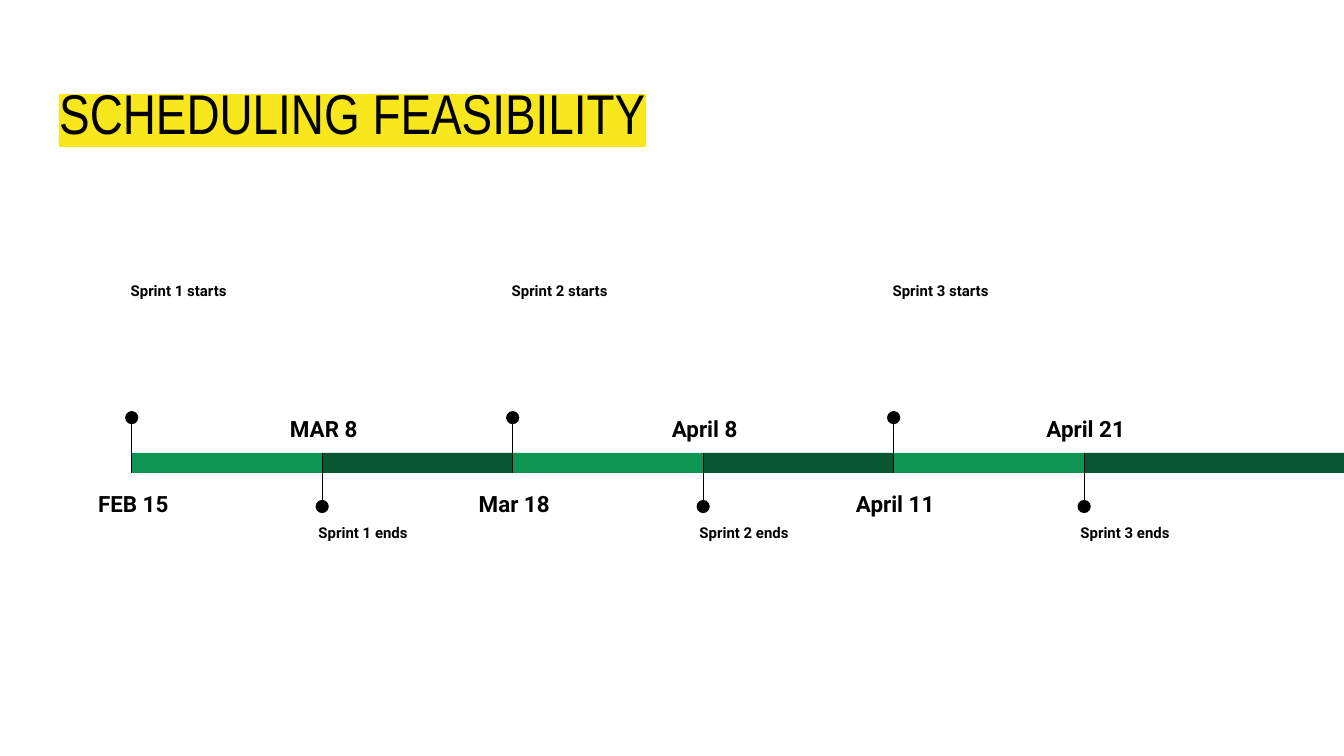
from lxml import etree
from pptx import Presentation
from pptx.dml.color import RGBColor
from pptx.enum.shapes import MSO_CONNECTOR, MSO_SHAPE
from pptx.enum.text import MSO_ANCHOR, PP_ALIGN
from pptx.oxml.ns import qn
from pptx.util import Cm, Pt

RECTANGLE = MSO_SHAPE.RECTANGLE
OVAL = MSO_SHAPE.OVAL
STRAIGHT = MSO_CONNECTOR.STRAIGHT
TOP = MSO_ANCHOR.TOP
LEFT = PP_ALIGN.LEFT
CENTER = PP_ALIGN.CENTER

BLACK = RGBColor(0x00, 0x00, 0x00)
LIGHT_GREEN = RGBColor(0x0E, 0x94, 0x53)
DARK_GREEN = RGBColor(0x08, 0x56, 0x31)
YELLOW = RGBColor(0xF8, 0xE7, 0x1C)

SLIDE_WIDTH = 25.4
SLIDE_HEIGHT = 14.29
TIMELINE_LEFT = 2.49
STEP = 3.6
BAR_TOP = 8.56
BAR_HEIGHT = 0.38
DOT_SIZE = 0.25
DATE_WIDTH = 2.08

MILESTONES = [
    ("FEB 15", "Sprint 1 starts"),
    ("MAR 8", "Sprint 1 ends"),
    ("Mar 18", "Sprint 2 starts"),
    ("April 8", "Sprint 2 ends"),
    ("April 11", "Sprint 3 starts"),
    ("April 21", "Sprint 3 ends"),
]


class TimelineSlide:
    font = "Roboto"
    title_font = "Arial Narrow"
    ink = BLACK

    def __init__(self, slide):
        self.shapes = slide.shapes

    def shape(self, kind, left, top, width, height, color):
        shape = self.shapes.add_shape(kind, Cm(left), Cm(top), Cm(width), Cm(height))
        shape.shadow.inherit = False
        shape.fill.solid()
        shape.fill.fore_color.rgb = color
        shape.line.fill.background()

    def stem(self, x, start, end):
        stem = self.shapes.add_connector(STRAIGHT, Cm(x), Cm(start), Cm(x), Cm(end))
        stem.line.color.rgb = self.ink
        stem.line.width = Pt(0.75)
        etree.SubElement(stem._element.spPr, qn("a:effectLst"))

    def text(self, words, left, top, width, height, size, font=None, bold=True, align=LEFT):
        frame = self.shapes.add_textbox(Cm(left), Cm(top), Cm(width), Cm(height)).text_frame
        frame.word_wrap = True
        frame.vertical_anchor = TOP
        frame.margin_left = frame.margin_right = Cm(0.25)
        frame.margin_top = frame.margin_bottom = Cm(0.25)
        paragraph = frame.paragraphs[0]
        paragraph.alignment = align
        run = paragraph.add_run()
        run.text = words
        run.font.size = Pt(size)
        run.font.name = font or self.font
        run.font.bold = bold
        run.font.color.rgb = self.ink
        return paragraph

    def title(self, words):
        paragraph = self.text(words, 0.87, 1.24, 23.67, 1.6, 30, self.title_font, bold=False)
        highlight = etree.Element(qn("a:highlight"))
        etree.SubElement(highlight, qn("a:srgbClr"), val=str(YELLOW))
        properties = paragraph.runs[0]._r.rPr
        properties.find(qn("a:solidFill")).addnext(highlight)

    def date(self, words, x, top):
        left = x + 0.03 - DATE_WIDTH / 2
        paragraph = self.text(words, left, top, DATE_WIDTH, 1.04, 12, align=CENTER)
        paragraph.line_spacing = 1.15
        paragraph.space_after = Pt(16)

    def milestone(self, index, date, event):
        x = TIMELINE_LEFT + index * STEP
        starts = index % 2 == 0
        last = index == len(MILESTONES) - 1
        width = SLIDE_WIDTH - x if last else STEP
        color = LIGHT_GREEN if starts else DARK_GREEN
        self.shape(RECTANGLE, x, BAR_TOP, width, BAR_HEIGHT, color)
        if starts:
            date_top, event_left, event_top = 8.94, x - 0.27, 5.16
            dot_top, stem_end = 7.77, BAR_TOP + BAR_HEIGHT
        else:
            date_top, event_left, event_top = 7.52, x - 0.32, 9.73
            dot_top, stem_end = 9.45, BAR_TOP
        self.date(date, x, date_top)
        self.text(event, event_left, event_top, 4.67, 2.62, 8)
        self.stem(x, dot_top + DOT_SIZE / 2, stem_end)
        self.shape(OVAL, x - DOT_SIZE / 2, dot_top, DOT_SIZE, DOT_SIZE, self.ink)


def main():
    presentation = Presentation()
    presentation.slide_width = Cm(SLIDE_WIDTH)
    presentation.slide_height = Cm(SLIDE_HEIGHT)
    schedule = TimelineSlide(presentation.slides.add_slide(presentation.slide_layouts[6]))
    schedule.title("SCHEDULING FEASIBILITY")
    for index, (date, event) in enumerate(MILESTONES):
        schedule.milestone(index, date, event)
    presentation.save("out.pptx")


if __name__ == "__main__":
    main()
